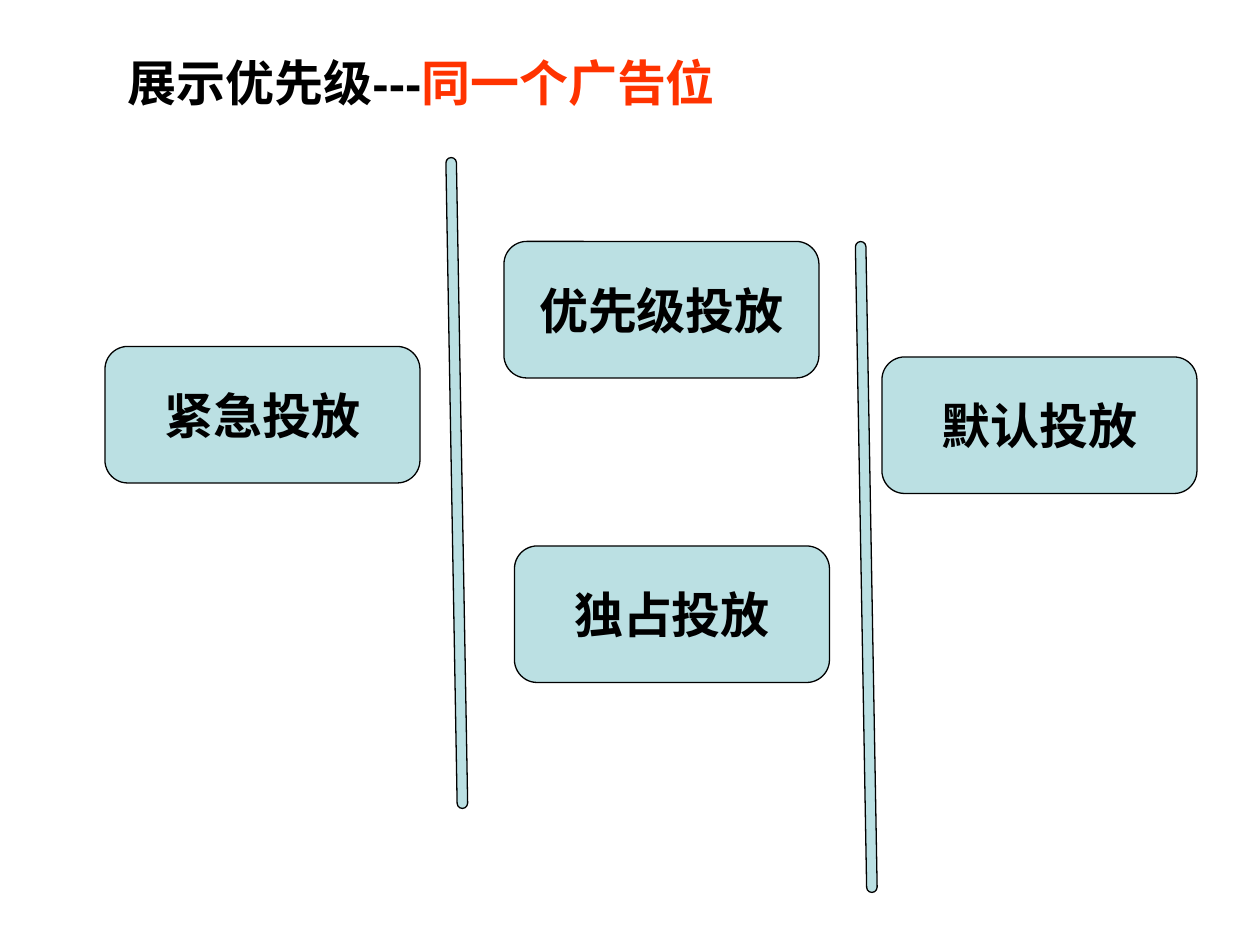
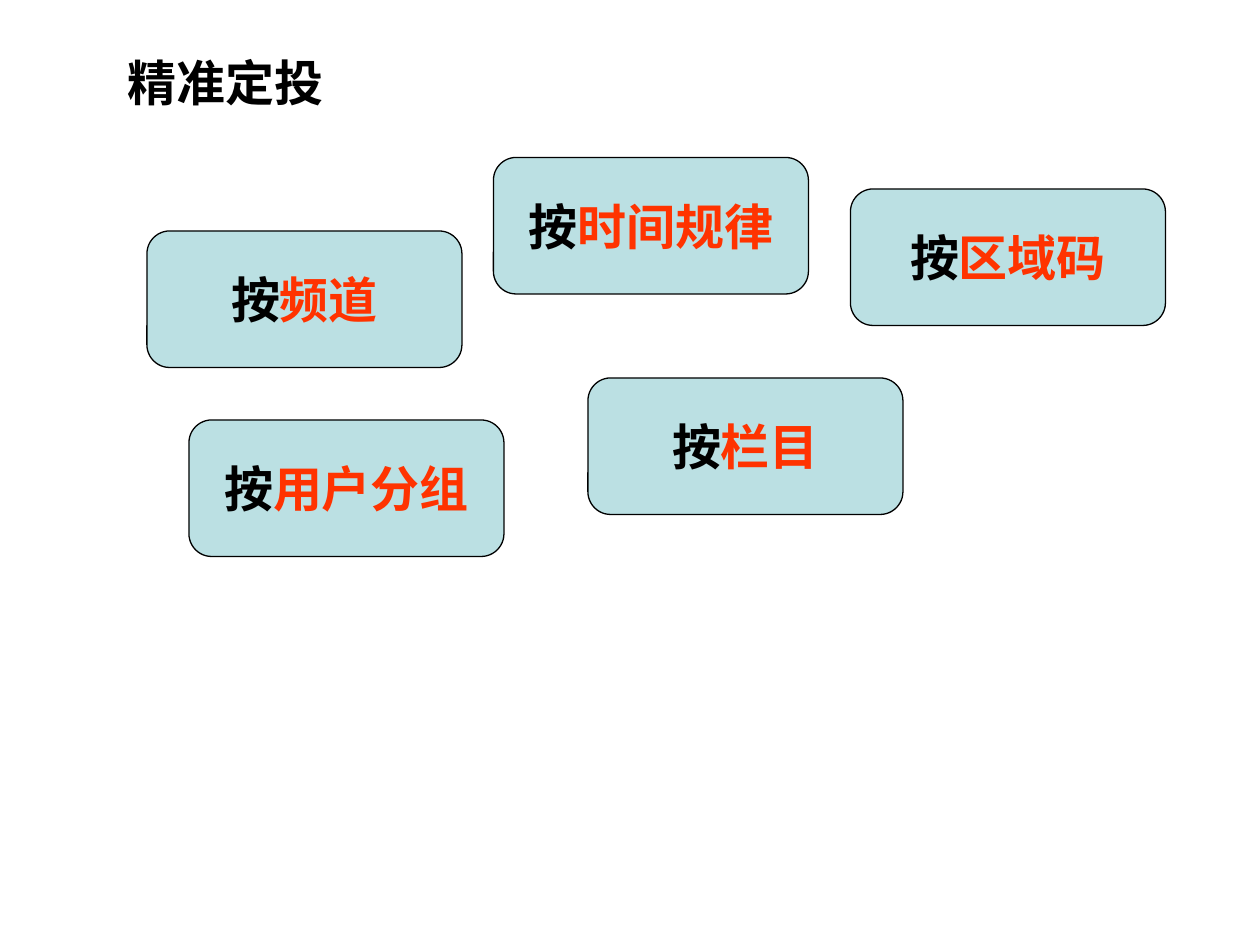
import dataclasses

import lxml.etree
import pptx
import pptx.dml.color
import pptx.enum.shapes
import pptx.enum.text
import pptx.oxml.ns
import pptx.util


@dataclasses.dataclass(frozen=True)
class Theme:
    ink: str = "000000"
    accent: str = "FF3300"
    fill: str = "BBE0E3"
    background: str = "FFFFFF"
    latin: str = "Arial"
    cjk: str = "Noto Sans CJK SC"
    size: float = 28
    outline: float = 0.75


class Deck:
    COLUMNS, ROWS = 120, 90
    TITLE = (11, 3, 103, 9.6)
    CARD = (30, 13)
    BAR = (62, 1)

    def __init__(self, theme):
        self.theme = theme
        self.prs = pptx.Presentation()
        self.prs.slide_width = pptx.util.Inches(10)
        self.prs.slide_height = pptx.util.Inches(7.5)
        self.s = None

    def box(self, left, top, width, height):
        x = self.prs.slide_width / self.COLUMNS
        y = self.prs.slide_height / self.ROWS
        return [round(n) for n in (left * x, top * y, width * x, height * y)]

    def rgb(self, value):
        return pptx.dml.color.RGBColor.from_string(value)

    def slide(self, plain, accent=""):
        self.s = self.prs.slides.add_slide(self.prs.slide_layouts[6])
        fill = self.s.background.fill
        fill.solid()
        fill.fore_color.rgb = self.rgb(self.theme.background)
        sp = self.s.shapes.add_textbox(*self.box(*self.TITLE))
        self.text(sp, plain, accent, self.theme.latin)

    def text(self, sp, plain, accent, font, align="LEFT", wrap=True):
        tf = sp.text_frame
        tf.word_wrap = wrap
        tf.vertical_anchor = pptx.enum.text.MSO_ANCHOR.MIDDLE
        p = tf.paragraphs[0]
        p.alignment = pptx.enum.text.PP_ALIGN[align]
        for words, color in ((plain, self.theme.ink), (accent, self.theme.accent)):
            if words:
                self.run(p, words, color, font)

    def run(self, p, words, color, font):
        r = p.add_run()
        r.text = words
        r.font.size = pptx.util.Pt(self.theme.size)
        r.font.bold = True
        r.font.color.rgb = self.rgb(color)
        r.font.name = font
        ea = lxml.etree.SubElement(r.font._element, pptx.oxml.ns.qn("a:ea"))
        ea.set("typeface", self.theme.cjk)

    def rounded(self, left, top, size, corner):
        kind = pptx.enum.shapes.MSO_SHAPE.ROUNDED_RECTANGLE
        sp = self.s.shapes.add_shape(kind, *self.box(left, top, *size))
        sp.adjustments[0] = corner
        sp.shadow.inherit = False
        sp.fill.solid()
        sp.fill.fore_color.rgb = self.rgb(self.theme.fill)
        sp.line.color.rgb = self.rgb(self.theme.ink)
        sp.line.width = pptx.util.Pt(self.theme.outline)
        return sp

    def card(self, left, top, plain, accent=""):
        sp = self.rounded(left, top, self.CARD, 1 / 6)
        self.text(sp, plain, accent, self.theme.cjk, "CENTER", False)

    def divider(self, left, top):
        self.rounded(left, top, self.BAR, 0.5).rotation = 89


def priority_slide(deck):
    deck.slide("展示优先级---", "同一个广告位")
    for left, top, label in (
        (84, 34, "默认投放"),
        (49, 52, "独占投放"),
        (48, 23, "优先级投放"),
        (10, 33, "紧急投放"),
    ):
        deck.card(left, top, label)
    for left, top in ((12.5, 45.5), (51.5, 53.5)):
        deck.divider(left, top)


def targeting_slide(deck):
    deck.slide("精准定投")
    for left, top, target in (
        (81, 18, "区域码"),
        (18, 40, "用户分组"),
        (47, 15, "时间规律"),
        (14, 22, "频道"),
        (56, 36, "栏目"),
    ):
        deck.card(left, top, "按", target)


def main():
    deck = Deck(Theme())
    priority_slide(deck)
    targeting_slide(deck)
    deck.prs.save("out.pptx")


if __name__ == "__main__":
    main()
